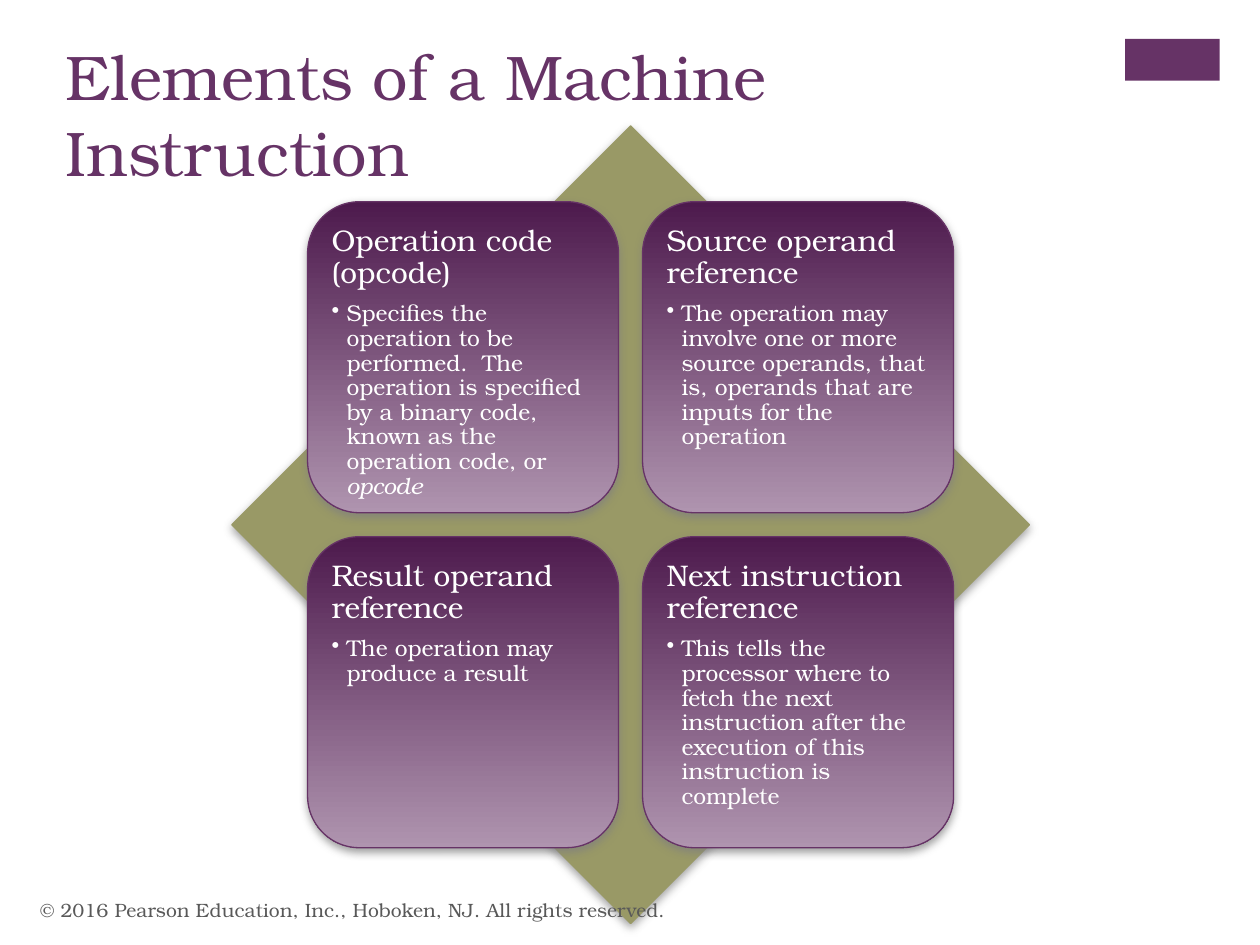
import pptx
import pptx.util
import pptx.dml.color
import pptx.enum.shapes
import pptx.enum.text
import pptx.oxml
import pptx.oxml.ns

Inches = pptx.util.Inches
Pt = pptx.util.Pt
RGBColor = pptx.dml.color.RGBColor
MSO_SHAPE = pptx.enum.shapes.MSO_SHAPE

FONT = "TeX Gyre Bonum"
PURPLE = RGBColor(0x66, 0x33, 0x66)
DARK_PURPLE = RGBColor(0x4D, 0x1A, 0x4D)
LIGHT_PURPLE = RGBColor(0xAF, 0x94, 0xAF)
OLIVE = RGBColor(0x99, 0x99, 0x66)
GRAY = RGBColor(0x59, 0x59, 0x59)
WHITE = RGBColor(0xFF, 0xFF, 0xFF)

NAMESPACE = pptx.oxml.ns.nsdecls("a")
SHADOW = (
    f'<a:effectLst {NAMESPACE}><a:outerShdw blurRad="63500" dist="25400" dir="5400000" '
    'rotWithShape="0"><a:srgbClr val="808080"><a:alpha val="75000"/></a:srgbClr>'
    "</a:outerShdw></a:effectLst>"
)
BULLET = f'<a:buChar {NAMESPACE} char="•"/>'

CARDS = [
    ("Operation code (opcode)",
     ["Specifies the operation to be performed.  The operation is specified by a binary code, "
      "known as the operation code, or ", "opcode"]),
    ("Source operand reference",
     ["The operation may involve one or more source operands, that is, operands that are "
      "inputs for the operation"]),
    ("Result operand reference", ["The operation may produce a result"]),
    ("Next instruction reference",
     ["This tells the processor where to fetch the next instruction after the execution of "
      "this instruction is complete"]),
]


def format_runs(paragraph, size, color):
    for run in paragraph.runs:
        run.font.name = FONT
        run.font.size = Pt(size)
        run.font.color.rgb = color


def add_panel(kind, left, top, size, line_color):
    shape = slide.shapes.add_shape(kind, Inches(left), Inches(top), Inches(size), Inches(size))
    shape.line.color.rgb = line_color
    shape.line.width = Pt(0.75)
    shape._element.spPr.append(pptx.oxml.parse_xml(SHADOW))
    return shape


presentation = pptx.Presentation()
presentation.slide_width = Inches(10)
presentation.slide_height = Inches(7.5)
slide = presentation.slides.add_slide(presentation.slide_layouts[5])

title = slide.shapes.title
title.left, title.top, title.width, title.height = map(Inches, (0.42, 0.25, 8.26, 1.22))
title.text_frame.text = "Elements of a Machine Instruction"
title.text_frame.word_wrap = True
title.text_frame.auto_size = pptx.enum.text.MSO_AUTO_SIZE.NONE
title.text_frame.vertical_anchor = pptx.enum.text.MSO_ANCHOR.TOP
title.text_frame.paragraphs[0].alignment = pptx.enum.text.PP_ALIGN.LEFT
format_runs(title.text_frame.paragraphs[0], 36, PURPLE)

corner = slide.shapes.add_shape(
    MSO_SHAPE.RECTANGLE, Inches(8.93), Inches(0.31), Inches(0.75), Inches(0.33))
corner.shadow.inherit = False
corner.fill.solid()
corner.fill.fore_color.rgb = PURPLE
corner.line.fill.background()

diamond_left, diamond_top, diamond_size = 1.84, 1, 6.33
diamond = add_panel(MSO_SHAPE.DIAMOND, diamond_left, diamond_top, diamond_size, OLIVE)
diamond.fill.solid()
diamond.fill.fore_color.rgb = OLIVE

card_size = 0.39 * diamond_size
card_pitch = 0.42 * diamond_size
card_margin = 0.095 * diamond_size
text_margin = 0.12
text_size = card_size - 2 * text_margin

for index, (heading, details) in enumerate(CARDS):
    row, column = divmod(index, 2)
    left = diamond_left + card_margin + column * card_pitch
    top = diamond_top + card_margin + row * card_pitch

    card = add_panel(MSO_SHAPE.ROUNDED_RECTANGLE, left, top, card_size, PURPLE)
    card.fill.gradient()
    card.fill.gradient_angle = 270
    for stop, color, position in zip(
            card.fill.gradient_stops, (DARK_PURPLE, LIGHT_PURPLE), (0, 1)):
        stop.color.rgb = color
        stop.position = position

    text_box = slide.shapes.add_textbox(
        Inches(left + text_margin), Inches(top + text_margin),
        Inches(text_size), Inches(text_size))
    frame = text_box.text_frame
    frame.word_wrap = True
    frame.margin_left = frame.margin_right = Inches(0.07)
    frame.margin_top = frame.margin_bottom = Inches(0.07)
    frame.text = heading
    heading_paragraph = frame.paragraphs[0]
    heading_paragraph.line_spacing = 0.9
    heading_paragraph.space_after = Pt(7)
    format_runs(heading_paragraph, 17, WHITE)

    detail_paragraph = frame.add_paragraph()
    detail_paragraph.level = 1
    properties = detail_paragraph._p.get_or_add_pPr()
    properties.set("marL", str(Inches(0.12)))
    properties.set("indent", str(-Inches(0.12)))
    properties.append(pptx.oxml.parse_xml(BULLET))
    detail_paragraph.line_spacing = 0.9
    detail_paragraph.space_after = Pt(2)
    for detail in details:
        run = detail_paragraph.add_run()
        run.text = detail
        if detail == "opcode":
            run.font.italic = True
    format_runs(detail_paragraph, 13, WHITE)

footer = slide.shapes.add_textbox(Inches(0.22), Inches(7.02), Inches(6.7), Inches(0.4))
footer.text_frame.word_wrap = True
footer.text_frame.vertical_anchor = pptx.enum.text.MSO_ANCHOR.MIDDLE
footer.text_frame.text = "© 2016 Pearson Education, Inc., Hoboken, NJ. All rights reserved."
format_runs(footer.text_frame.paragraphs[0], 11, GRAY)

presentation.save("out.pptx")
